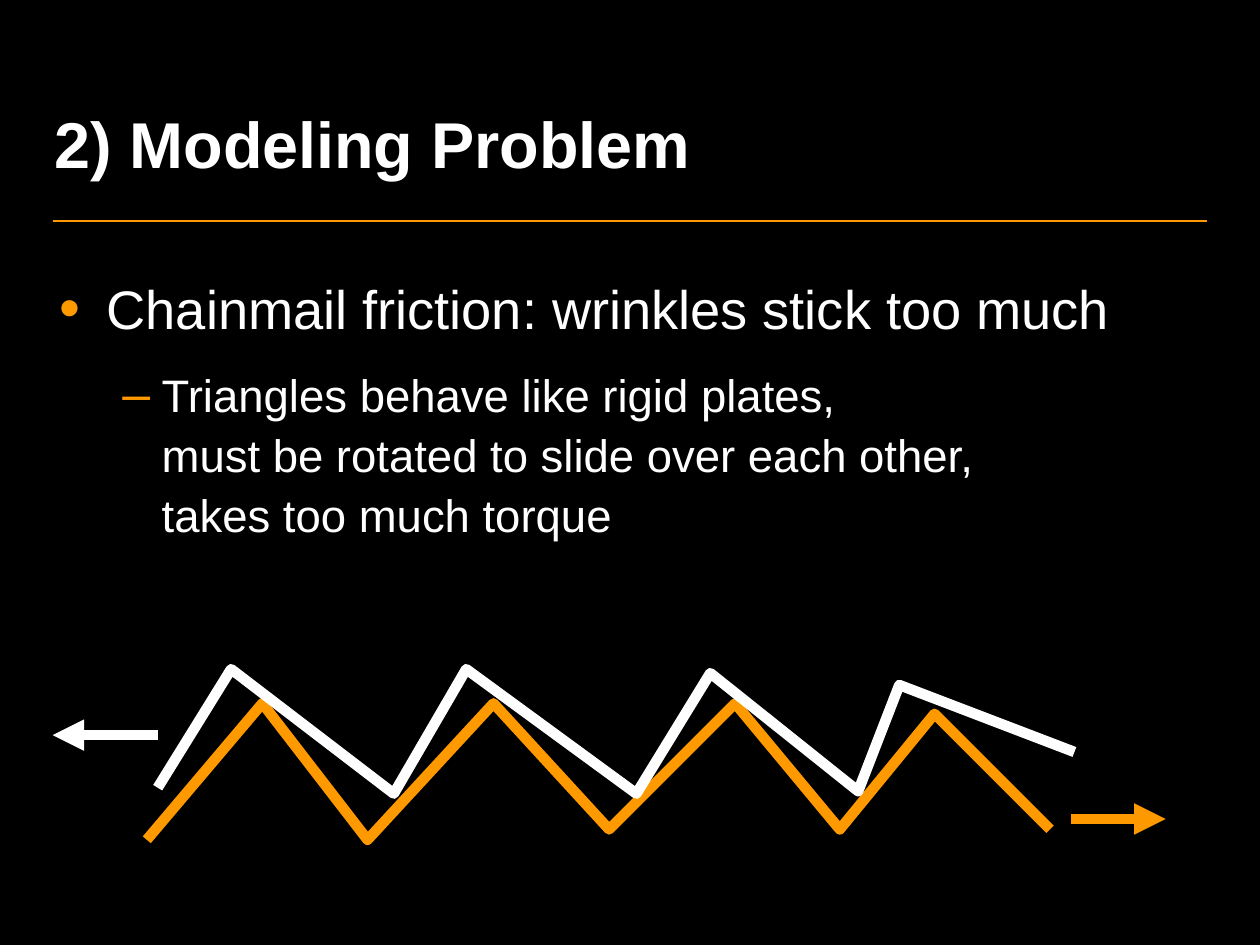
import pptx
import pptx.dml.color
import pptx.enum.shapes
import pptx.enum.text
import pptx.oxml
import pptx.oxml.ns
import pptx.util
from pptx.util import Cm

COLORS = {"background": "000000", "text": "FFFFFF", "accent": "FF9900", "shadow": "993399"}
NAMESPACE = pptx.oxml.ns.nsdecls("a")


def rgb(name):
    return pptx.dml.color.RGBColor.from_string(COLORS[name])


def append_xml(parent, tag, content="", attributes=""):
    parent.append(pptx.oxml.parse_xml(f"<a:{tag} {NAMESPACE} {attributes}>{content}</a:{tag}>"))


class SlideBuilder:
    """Holds the text style and the slide being filled."""

    font = "Arial"

    def __init__(self, presentation):
        self.slide = presentation.slides.add_slide(presentation.slide_layouts[6])
        fill = self.slide.background.fill
        fill.solid()
        fill.fore_color.rgb = rgb("background")

    def text_frame(self, left, top, width, height):
        frame = self.slide.shapes.add_textbox(Cm(left), Cm(top), Cm(width), Cm(height)).text_frame
        frame.word_wrap = True
        return frame

    def run(self, paragraph, text, size, bold=False):
        run = paragraph.add_run()
        run.text = text
        run.font.name = self.font
        run.font.size = pptx.util.Pt(size)
        run.font.bold = bold
        run.font.color.rgb = rgb("text")
        return run

    def title(self, text, left, top, width, height):
        frame = self.text_frame(left, top, width, height)
        frame.vertical_anchor = pptx.enum.text.MSO_ANCHOR.MIDDLE
        run = self.run(frame.paragraphs[0], text, 37, bold=True)
        effects = pptx.oxml.parse_xml(
            f'<a:effectLst {NAMESPACE}><a:outerShdw dist="25400" dir="2700000">'
            f'<a:srgbClr val="{COLORS["shadow"]}"/></a:outerShdw></a:effectLst>')
        run.font.fill._xPr.find(pptx.oxml.ns.qn("a:solidFill")).addnext(effects)

    def bullet(self, paragraph, lines, size, mark, level, margin, hanging):
        paragraph.level = level
        paragraph.line_spacing = 1.1
        paragraph.space_before = paragraph.space_after = pptx.util.Pt(6)
        properties = paragraph._p.get_or_add_pPr()
        properties.set("marL", str(Cm(margin)))
        properties.set("indent", str(-Cm(hanging)))
        append_xml(properties, "buClr", f'<a:srgbClr val="{COLORS["accent"]}"/>')
        append_xml(properties, "buSzPct", attributes='val="110000"')
        append_xml(properties, "buFont", attributes=f'typeface="{self.font}"')
        append_xml(properties, "buChar", attributes=f'char="{mark}"')
        for index, line in enumerate(lines):
            if index:
                paragraph.add_line_break()
            self.run(paragraph, line, size)

    def line(self, start, end, color, width, arrow=False):
        connector = self.slide.shapes.add_connector(
            pptx.enum.shapes.MSO_CONNECTOR.STRAIGHT, *map(Cm, start + end))
        connector.line.color.rgb = rgb(color)
        connector.line.width = pptx.util.Pt(width)
        if arrow:
            append_xml(connector.line._get_or_add_ln(), "tailEnd", attributes='type="triangle"')
        append_xml(connector._element.spPr, "effectLst")

    def zigzag(self, points, color):
        corners = [(Cm(x), Cm(y)) for x, y in points]
        builder = self.slide.shapes.build_freeform(*corners[0])
        builder.add_line_segments(corners[1:], close=False)
        shape = builder.convert_to_shape()
        shape.shadow.inherit = False
        shape.fill.background()
        shape.line.color.rgb = rgb(color)
        shape.line.width = pptx.util.Pt(6)
        append_xml(shape.line._get_or_add_ln(), "round")


def main():
    presentation = pptx.Presentation()
    presentation.slide_width = Cm(25.4)
    presentation.slide_height = Cm(19.05)
    builder = SlideBuilder(presentation)

    builder.line((1.06, 4.45), (24.34, 4.45), "accent", 1)
    builder.title("2) Modeling Problem", 0.85, 1.19, 18.63, 3.39)

    body = builder.text_frame(0.95, 5.29, 23.37, 12.9)
    builder.bullet(body.paragraphs[0], ["Chainmail friction: wrinkles stick too much"],
                   31, "•", 0, 0.95, 0.95)
    builder.bullet(body.add_paragraph(),
                   ["Triangles behave like rigid plates,",
                    "must be rotated to slide over each other,",
                    "takes too much torque"],
                   26, "–", 1, 2.06, 0.79)

    lower_sheet = [(2.96, 16.93), (5.29, 14.18), (7.41, 16.93), (9.95, 14.18), (12.28, 16.72),
                   (14.82, 14.18), (16.93, 16.72), (18.84, 14.39), (21.17, 16.72)]
    upper_sheet = [(3.18, 15.88), (4.66, 13.49), (7.94, 16), (9.4, 13.49), (12.83, 16),
                   (14.32, 13.57), (17.3, 15.95), (18.13, 13.81), (21.66, 15.16)]
    builder.zigzag(lower_sheet, "accent")
    builder.zigzag(upper_sheet, "text")
    builder.line((21.59, 16.51), (23.5, 16.51), "accent", 6, arrow=True)
    builder.line((3.18, 14.82), (1.06, 14.82), "text", 6, arrow=True)

    presentation.save("out.pptx")


if __name__ == "__main__":
    main()
